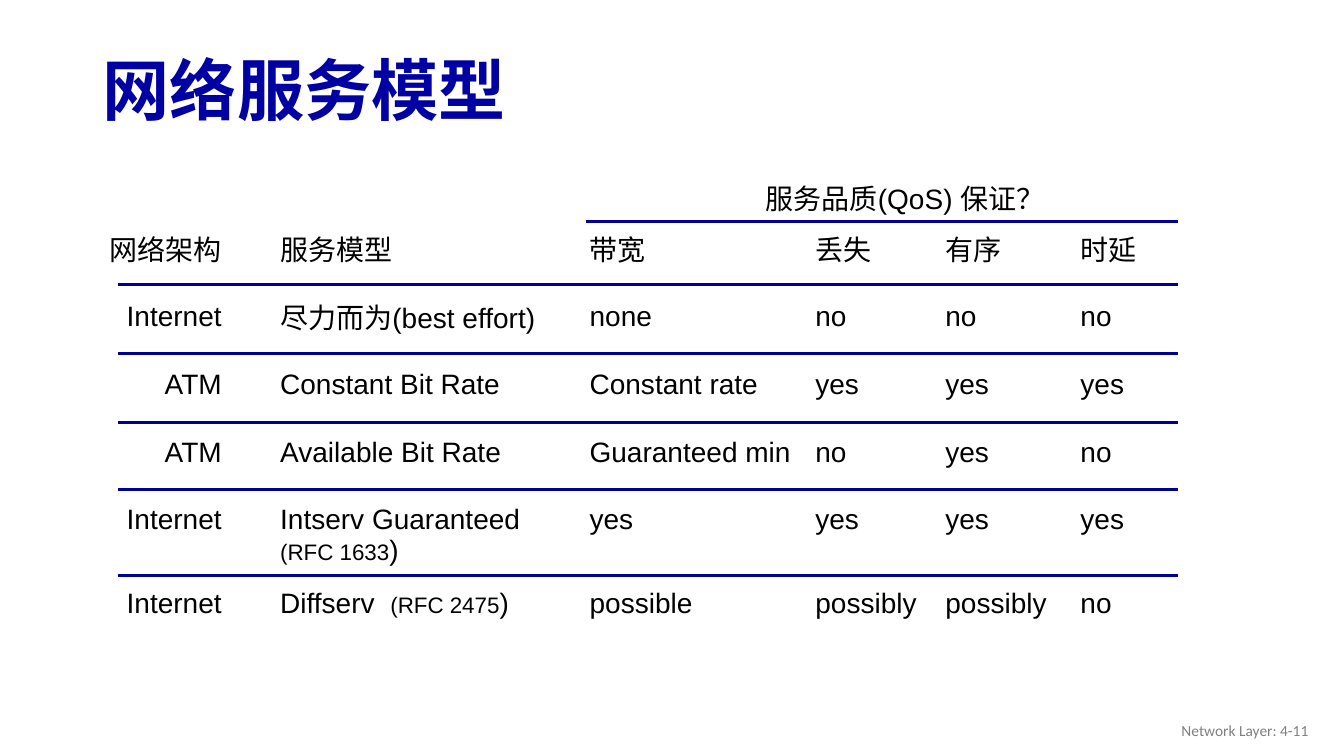
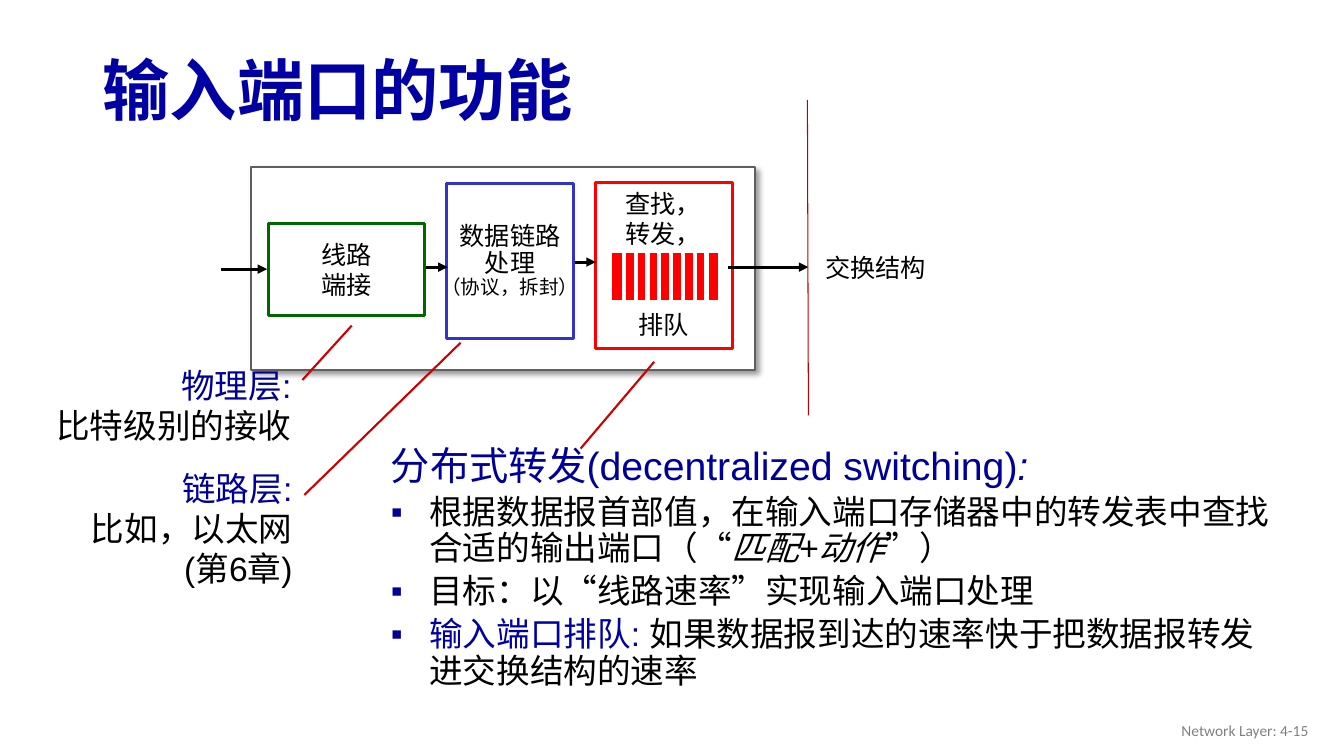
from dataclasses import dataclass

from lxml.etree import SubElement
from pptx import Presentation
from pptx.dml.color import RGBColor
from pptx.enum.shapes import MSO_CONNECTOR, MSO_SHAPE
from pptx.enum.text import MSO_ANCHOR, PP_ALIGN
from pptx.oxml.ns import qn
from pptx.util import Inches, Pt

LEFT, CENTER, RIGHT = PP_ALIGN.LEFT, PP_ALIGN.CENTER, PP_ALIGN.RIGHT
TOP, MIDDLE = MSO_ANCHOR.TOP, MSO_ANCHOR.MIDDLE


@dataclass(frozen=True)
class Theme:
    font: str = "Arial"
    footer_font: str = "Calibri"
    title: str = "0000A3"
    navy: str = "000099"
    ink: str = "000000"
    paper: str = "FFFFFF"
    grey: str = "808080"
    frame: str = "5F5F5F"
    green: str = "006600"
    blue: str = "3333CC"
    red: str = "FF0000"
    pointer: str = "CC0000"
    fabric: str = "C00000"
    title_pt: int = 48
    lead_pt: int = 28
    body_pt: int = 24
    table_pt: int = 20
    label_pt: int = 18
    ref_pt: int = 16
    small_pt: int = 14
    footer_pt: int = 11


T = Theme()


def cells(n):
    """Grid cells, ten to the inch."""
    return Inches(n / 10)


@dataclass(frozen=True)
class Box:
    x: float
    y: float
    w: float
    h: float

    def sub(self, x, y, w, h):
        return Box(self.x + x, self.y + y, w, h)

    def point(self, x, y):
        return self.x + x, self.y + y

    def emu(self):
        return [cells(n) for n in (self.x, self.y, self.w, self.h)]


SLIDE = Box(0, 0, 133.33, 75)


def rgb(color):
    return RGBColor.from_string(color)


def add_run(p, text, size, color=T.ink, bold=None, italic=None, font=T.font):
    r = p.add_run()
    r.text = text
    f = r.font
    f.name, f.size, f.bold, f.italic = font, Pt(size), bold, italic
    f.color.rgb = rgb(color)


def add_bullet(p):
    pPr = p._p.get_or_add_pPr()
    color = SubElement(pPr, qn("a:buClr"))
    SubElement(color, qn("a:srgbClr")).set("val", T.navy)
    SubElement(pPr, qn("a:buFont")).set("typeface", T.font)
    SubElement(pPr, qn("a:buChar")).set("char", "▪")


def write(tf, paragraphs, align=LEFT, anchor=TOP, inset=(1, 0.5), wrap=True,
          spacing=None):
    """Each paragraph is a list of (text, size, color, ...) runs."""
    tf.word_wrap, tf.vertical_anchor = wrap, anchor
    tf.margin_left = tf.margin_right = cells(inset[0])
    tf.margin_top = tf.margin_bottom = cells(inset[1])
    for i, runs in enumerate(paragraphs):
        p = tf.add_paragraph() if i else tf.paragraphs[0]
        p.alignment, p.line_spacing = align, spacing
        for run in runs:
            add_run(p, *run)
    return tf


def add_text(s, box, paragraphs, **style):
    return write(s.shapes.add_textbox(*box.emu()).text_frame, paragraphs, **style)


def add_rect(s, box, line=None, width=0, fill=None):
    sp = s.shapes.add_shape(MSO_SHAPE.RECTANGLE, *box.emu())
    sp.shadow.inherit = False
    if fill:
        sp.fill.solid()
        sp.fill.fore_color.rgb = rgb(fill)
    else:
        sp.fill.background()
    if line:
        sp.line.color.rgb, sp.line.width = rgb(line), Pt(width)
    else:
        sp.line.fill.background()
    return sp


def add_line(s, start, end, color, width, arrow=False):
    ends = [cells(n) for n in (*start, *end)]
    c = s.shapes.add_connector(MSO_CONNECTOR.STRAIGHT, *ends)
    c.line.color.rgb, c.line.width = rgb(color), Pt(width)
    spPr = c.element.spPr
    if arrow:
        SubElement(spPr.find(qn("a:ln")), qn("a:tailEnd")).set("type", "triangle")
    SubElement(spPr, qn("a:effectLst"))


def add_shadow(sp):
    effects = sp.element.spPr.find(qn("a:effectLst"))
    shadow = SubElement(effects, qn("a:outerShdw"), blurRad=str(Pt(4)),
                        dist=str(Pt(3)), dir="2700000", algn="tl")
    color = SubElement(shadow, qn("a:srgbClr"), val=T.ink)
    SubElement(color, qn("a:alpha"), val="40000")


def new_slide(prs, title, number):
    s = prs.slides.add_slide(prs.slide_layouts[6])
    add_text(s, SLIDE.sub(9.2, 4.4, 115, 9.8),
             [[(title, T.title_pt, T.title, True)]], anchor=MIDDLE, spacing=0.9)
    footer = (f"Network Layer: 4-{number}", T.footer_pt, T.grey, None, None, T.footer_font)
    add_text(s, SLIDE.sub(100.8, 70.5, 30, 4), [[footer]], align=RIGHT, anchor=MIDDLE)
    return s


# Service model table
COLUMNS = (16.9, 30.7, 22.4, 12.9, 13.4, 10.1)
ROWS = (4.5, 5.6, 8, 5.6, 7.8, 8.4, 5.4)
RULES = (10.9, 17.8, 24.6, 31.3, 39.8)
QOS_COLUMN, INTSERV_ROW = 2, 5
SERVICES = (
    ("", "", "服务品质(QoS) 保证？", "", "", ""),
    ("网络架构", "服务模型", "带宽", "丢失", "有序", "时延"),
    ("Internet", "尽力而为(best effort)", "none", "no", "no", "no"),
    ("ATM", "Constant Bit Rate", "Constant rate", "yes", "yes", "yes"),
    ("ATM", "Available Bit Rate", "Guaranteed min", "no", "yes", "no"),
    ("Internet", "Intserv Guaranteed\n(RFC 1633)", "yes", "yes", "yes", "yes"),
    ("Internet", "Diffserv  (RFC 2475)", "possible", "possibly", "possibly", "no"),
)


def table_runs(line):
    """Set an RFC reference smaller than the words around it."""
    head, mark, ref = line.partition("(RFC")
    if not mark:
        return [(line, T.table_pt)]
    runs = [(mark + ref[:-1], T.ref_pt), (")", T.table_pt)]
    return [(head, T.table_pt)] + runs if head else runs


def service_table(s, box):
    frame = s.shapes.add_table(len(ROWS), len(COLUMNS), *box.emu())
    table = frame.table
    table.first_row = table.horz_banding = False
    style = frame.element.find(".//" + qn("a:tableStyleId"))
    style.text = "{2D5ABB26-0587-4C30-8999-92F81FD0307C}"
    for column, width in zip(table.columns, COLUMNS):
        column.width = cells(width)
    for row, height in zip(table.rows, ROWS):
        row.height = cells(height)
    table.cell(0, QOS_COLUMN).merge(table.cell(0, len(COLUMNS) - 1))

    for i, texts in enumerate(SERVICES):
        for j, text in enumerate(texts):
            cell = table.cell(i, j)
            align = RIGHT if j == 0 else LEFT
            left, right = (0, 5.4) if j == 0 else (0.4, 0)
            if i == 0 and j == QOS_COLUMN:
                align, left = CENTER, 4.6
            if text:
                write(cell.text_frame, [table_runs(t) for t in text.split("\n")], align)
            cell.margin_left, cell.margin_right = cells(left), cells(right)
            top = i == INTSERV_ROW
            cell.margin_top, cell.margin_bottom = cells(1.2 if top else 0), 0
            cell.vertical_anchor = TOP if top else MIDDLE
            cell.fill.background()

    # Rules between the rows, and under the QoS heading
    qos = sum(COLUMNS[:QOS_COLUMN])
    for x, y in [(1.2, y) for y in RULES] + [(qos, 4.7)]:
        add_line(s, box.point(x, y), box.point(box.w, y), T.navy, 2.25)


# Input port diagram
def queue(s, box):
    add_rect(s, box, T.paper, 3, T.red)
    first, pitch = 1.4, 1.17
    for x in (first + k * pitch for k in range(8)):
        add_line(s, box.point(x, 0.1), box.point(x, box.h - 0.1), T.paper, 3)


def input_port(s, box):
    add_shadow(add_rect(s, box, T.frame, 1.5, T.paper))
    label = dict(align=CENTER, anchor=MIDDLE, inset=(0, 0), wrap=False)

    line_end = add_rect(s, box.sub(1.7, 5.6, 15.5, 9.1), T.green, 2.25, T.paper)
    write(line_end.text_frame, [[("线路", T.label_pt)], [("端接", T.label_pt)]], **label)

    data_link = add_rect(s, box.sub(19.4, 1.6, 12.6, 15.4), T.blue, 2.25)
    write(data_link.text_frame,
          [[("数据链路", T.label_pt)], [("处理", T.label_pt)],
           [("（协议，拆封）", T.small_pt)]], spacing=0.9, **label)

    add_text(s, box.sub(35.6, 1.6, 10.6, 8),
             [[("查找，", T.label_pt)], [("转发，", T.label_pt)]], align=CENTER)
    queue(s, box.sub(35.6, 8.3, 10.9, 5.1))
    add_text(s, box.sub(35.6, 13.6, 10.6, 4.6), [[("排队", T.label_pt)]], align=CENTER)
    add_rect(s, box.sub(34.2, 1.5, 13.6, 16.5), T.red, 2.25)

    for x1, x2, y in ((-3, 1.6, 10.1), (17.4, 19.5, 9.9),
                      (32.1, 34.2, 9.4), (47.3, 55.3, 9.9)):
        add_line(s, box.point(x1, y), box.point(x2, y), T.ink, 2.25, arrow=True)

    # Switching fabric
    add_line(s, box.point(55.2, -6.7), box.point(55.3, 24.6), T.fabric, 0.75)
    fabric = add_rect(s, box.sub(56.2, 5.6, 11.5, 9.1), fill=T.paper)
    write(fabric.text_frame, [[("交换结构", T.label_pt)]], spacing=0.9, **label)


def layer_note(s, box, heading, lines, start, end):
    paragraphs = [[(heading, T.body_pt, T.navy)]]
    paragraphs += [[(line, T.body_pt)] for line in lines]
    add_text(s, box, paragraphs, align=RIGHT)
    add_line(s, box.point(*start), box.point(*end), T.pointer, 1.5)


def forwarding_notes(s, box):
    size = T.body_pt
    tf = add_text(s, box, [
        [("分布式转发(decentralized switching)", T.lead_pt, T.navy),
         (":", T.lead_pt, T.navy, None, True)],
        [("根据数据报首部值，在输入端口存储器中的转发表中查找合适的输出端口（“", size),
         ("匹配+动作", size, T.ink, None, True), ("”）", size)],
        [("目标：以“线路速率”实现输入端口处理", size)],
        [("输入端口排队: ", size, T.title),
         ("如果数据报到达的速率快于把数据报转发进交换结构的速率", size)],
    ], spacing=0.9)
    for p in tf.paragraphs[1:]:
        pPr = p._p.get_or_add_pPr()
        pPr.set("marL", str(cells(3.8)))
        pPr.set("indent", str(cells(-3.8)))
        add_bullet(p)
        p.space_before = Pt(4.8)
    add_line(s, box.point(19.8, 0.7), box.point(27.1, -7.9), T.pointer, 1.5)


def main():
    prs = Presentation()
    prs.slide_width, prs.slide_height = cells(SLIDE.w), cells(SLIDE.h)

    s = new_slide(prs, "网络服务模型", 11)
    service_table(s, SLIDE.sub(10.5, 17.3, sum(COLUMNS), sum(ROWS)))

    s = new_slide(prs, "输入端口的功能", 15)
    input_port(s, SLIDE.sub(24.9, 16.6, 50, 20.1))
    layer_note(s, SLIDE.sub(3.3, 35.7, 26.6, 9.1), "物理层:", ["比特级别的接收"],
               (26.7, 2), (31.6, -3.4))
    layer_note(s, SLIDE.sub(6.8, 45.9, 23.2, 13.1), "链路层:",
               ["比如，以太网", "(第6章)"], (23.4, 3.2), (38.9, -11.9))
    forwarding_notes(s, SLIDE.sub(37.8, 43.8, 89.6, 26))

    prs.save("out.pptx")


if __name__ == "__main__":
    main()
